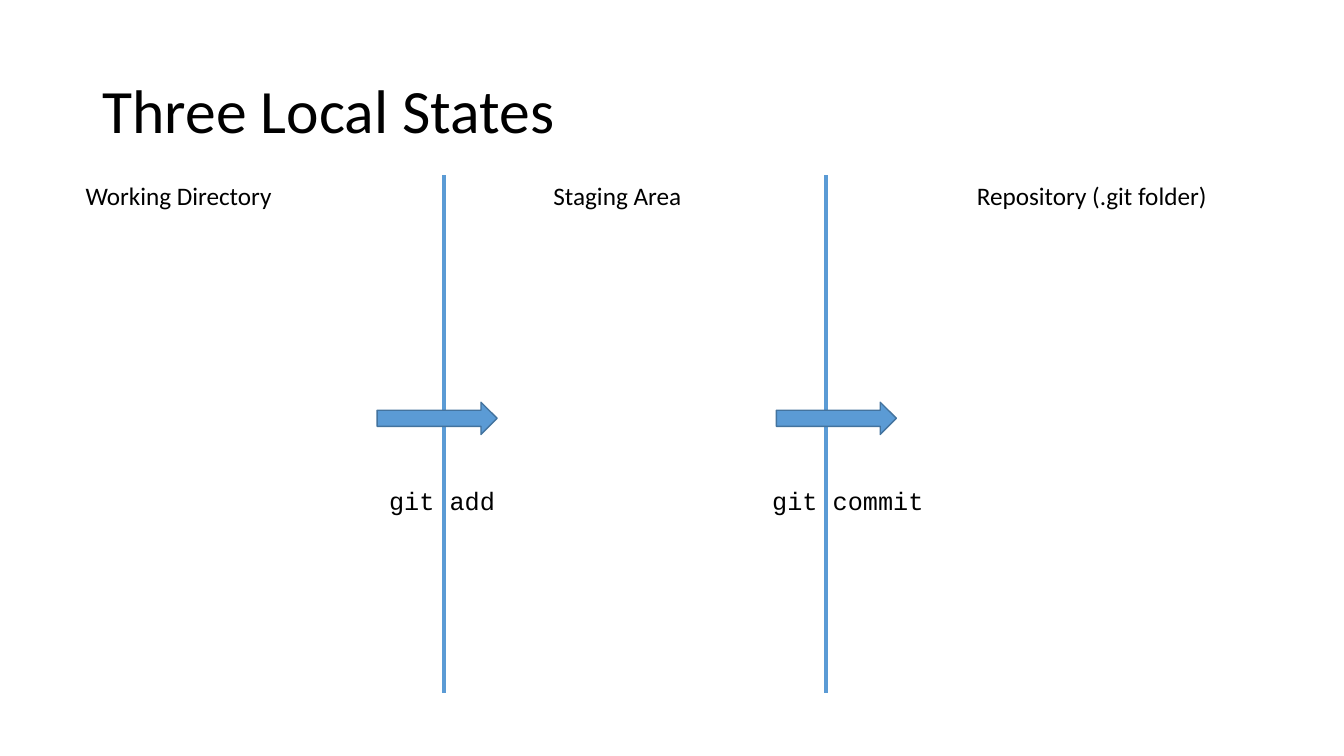
import pptx
import pptx.util
import pptx.dml.color
import pptx.enum.shapes
import pptx.enum.text
import pptx.oxml.ns
from lxml import etree
from pptx.util import Inches

BLACK = pptx.dml.color.RGBColor(0x00, 0x00, 0x00)
BLUE = pptx.dml.color.RGBColor(0x5B, 0x9B, 0xD5)
DARK_BLUE = pptx.dml.color.RGBColor(0x43, 0x73, 0x9E)

STATE_TOP = 1.74
STATES = [
    ("Working Directory", 0.75, 2.83),
    ("Staging Area", 5.39, 1.62),
    ("Repository (.git folder)", 9.59, 2.83),
]
# Command, divider x, arrow left, label left, label width
STEPS = [
    ("git add", 4.4, 3.74, 3.76, 1.48),
    ("git commit", 8.19, 7.7, 7.56, 1.82),
]


def add_text(slide, text, left, top, width, height=0.4, size=18, font="Calibri"):
    sp = slide.shapes.add_textbox(
        Inches(left), Inches(top), Inches(width), Inches(height))
    tf = sp.text_frame
    tf.word_wrap = True
    tf.text = text
    r = tf.paragraphs[0].runs[0]
    r.font.name = font
    r.font.size = pptx.util.Pt(size)
    r.font.color.rgb = BLACK
    return tf


def add_title(slide, text):
    tf = add_text(slide, text, 0.92, 0.4, 11.5, 1.45, size=44)
    tf.vertical_anchor = pptx.enum.text.MSO_ANCHOR.MIDDLE
    tf.paragraphs[0].line_spacing = 0.9


def add_divider(slide, x):
    line = slide.shapes.add_connector(
        pptx.enum.shapes.MSO_CONNECTOR.STRAIGHT,
        Inches(x), Inches(STATE_TOP), Inches(x), Inches(6.88))
    line.line.color.rgb = BLUE
    line.line.width = pptx.util.Pt(3)
    etree.SubElement(line._element.spPr, pptx.oxml.ns.qn("a:effectLst"))


def add_arrow(slide, left):
    sp = slide.shapes.add_shape(
        pptx.enum.shapes.MSO_SHAPE.RIGHT_ARROW,
        Inches(left), Inches(3.99), Inches(1.19), Inches(0.32))
    sp.shadow.inherit = False
    sp.fill.solid()
    sp.fill.fore_color.rgb = BLUE
    sp.line.color.rgb = DARK_BLUE
    sp.line.width = pptx.util.Pt(1)


def main():
    prs = pptx.Presentation()
    prs.slide_width = Inches(13.33)
    prs.slide_height = Inches(7.5)
    slide = prs.slides.add_slide(prs.slide_layouts[6])

    add_title(slide, "Three Local States")
    for name, left, width in STATES:
        add_text(slide, name, left, STATE_TOP, width)
    for command, divider_x, arrow_left, label_left, label_width in STEPS:
        add_divider(slide, divider_x)
        add_arrow(slide, arrow_left)
        add_text(slide, command, label_left, 4.77, label_width, font="Courier New")

    prs.save("out.pptx")


if __name__ == "__main__":
    main()
